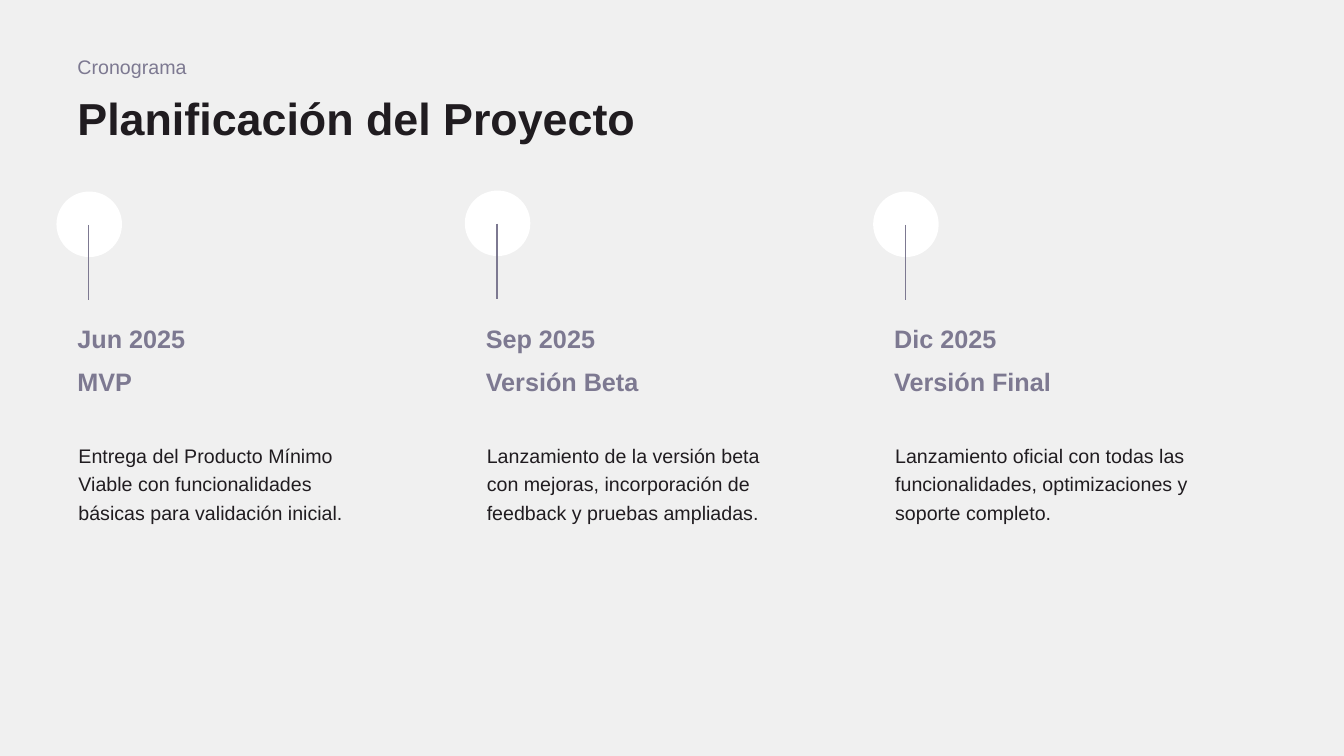
import pptx
import pptx.dml.color
import pptx.enum.shapes
import pptx.enum.text
import pptx.oxml.ns
import pptx.util
from lxml import etree

PX = 9144
FONT = "Arial"
BACKGROUND = pptx.dml.color.RGBColor(0xF0, 0xF0, 0xF0)
INK = pptx.dml.color.RGBColor(0x20, 0x1C, 0x20)
MAUVE = pptx.dml.color.RGBColor(0x7D, 0x79, 0x91)
WHITE = pptx.dml.color.RGBColor(0xFF, 0xFF, 0xFF)

TOP = pptx.enum.text.MSO_ANCHOR.TOP
MIDDLE = pptx.enum.text.MSO_ANCHOR.MIDDLE
BOTTOM = pptx.enum.text.MSO_ANCHOR.BOTTOM

LEFT = 67
COLUMN_PITCH = 405
COLUMN_WIDTH = 320
MILESTONES = [
    ("Jun 2025", "MVP", 190,
     "Entrega del Producto Mínimo Viable con funcionalidades básicas para validación inicial."),
    ("Sep 2025", "Versión Beta", 189,
     "Lanzamiento de la versión beta con mejoras, incorporación de feedback y pruebas ampliadas."),
    ("Dic 2025", "Versión Final", 190,
     "Lanzamiento oficial con todas las funcionalidades, optimizaciones y soporte completo."),
]


def px(*lengths):
    return [pptx.util.Emu(length * PX) for length in lengths]


def add_text(slide, box, text, size, color, bold=False, anchor=TOP,
             line_spacing=1.0, space_before=0, indent=0):
    frame = slide.shapes.add_textbox(*px(*box)).text_frame
    frame.word_wrap = True
    frame.vertical_anchor = anchor
    paragraph = frame.paragraphs[0]
    paragraph.line_spacing = line_spacing
    paragraph.space_before = pptx.util.Pt(space_before)
    if indent:
        paragraph._p.get_or_add_pPr().set("marL", str(indent * PX))
    run = paragraph.add_run()
    run.text = text
    run.font.name = FONT
    run.font.size = pptx.util.Pt(size)
    run.font.bold = bold
    run.font.color.rgb = color


def add_header(slide, left, top, width):
    add_text(slide, (left, top, 600, 34), "Cronograma", 14, MAUVE)
    add_text(slide, (left, top + 27, width, 87), "Planificación del Proyecto", 32, INK,
             bold=True, anchor=MIDDLE, line_spacing=0.9)


def add_marker(slide, left, top, diameter=65, stem=75):
    group = slide.shapes.add_group_shape()
    circle = group.shapes.add_shape(
        pptx.enum.shapes.MSO_SHAPE.OVAL, *px(left, top, diameter, diameter))
    circle.shadow.inherit = False
    circle.fill.solid()
    circle.fill.fore_color.rgb = WHITE
    circle.line.fill.background()
    center_x = left + diameter // 2
    center_y = top + diameter // 2 + 1
    line = group.shapes.add_connector(
        pptx.enum.shapes.MSO_CONNECTOR.STRAIGHT,
        *px(center_x, center_y, center_x, center_y + stem))
    line.line.color.rgb = MAUVE
    line.line.width = pptx.util.Pt(1)
    etree.SubElement(line._element.spPr, pptx.oxml.ns.qn("a:effectLst"))


def add_milestone(slide, left, top, width, milestone):
    date, name, marker_top, description = milestone
    add_text(slide, (left, top + 128, width, 204), description, 14, INK,
             line_spacing=1.2, space_before=12, indent=1)
    add_text(slide, (left, top + 55, width, 65), name, 18, MAUVE,
             bold=True, space_before=12)
    add_text(slide, (left, top, width, 53), date, 18, MAUVE,
             bold=True, anchor=BOTTOM, space_before=12)
    add_marker(slide, left - 11, marker_top)


def main():
    presentation = pptx.Presentation()
    presentation.slide_width, presentation.slide_height = px(1333, 750)
    slide = presentation.slides.add_slide(presentation.slide_layouts[6])
    slide.background.fill.solid()
    slide.background.fill.fore_color.rgb = BACKGROUND
    add_header(slide, LEFT, 50, 1200)
    for index, milestone in enumerate(MILESTONES):
        add_milestone(slide, LEFT + index * COLUMN_PITCH, 303, COLUMN_WIDTH, milestone)
    presentation.save("out.pptx")


if __name__ == "__main__":
    main()
